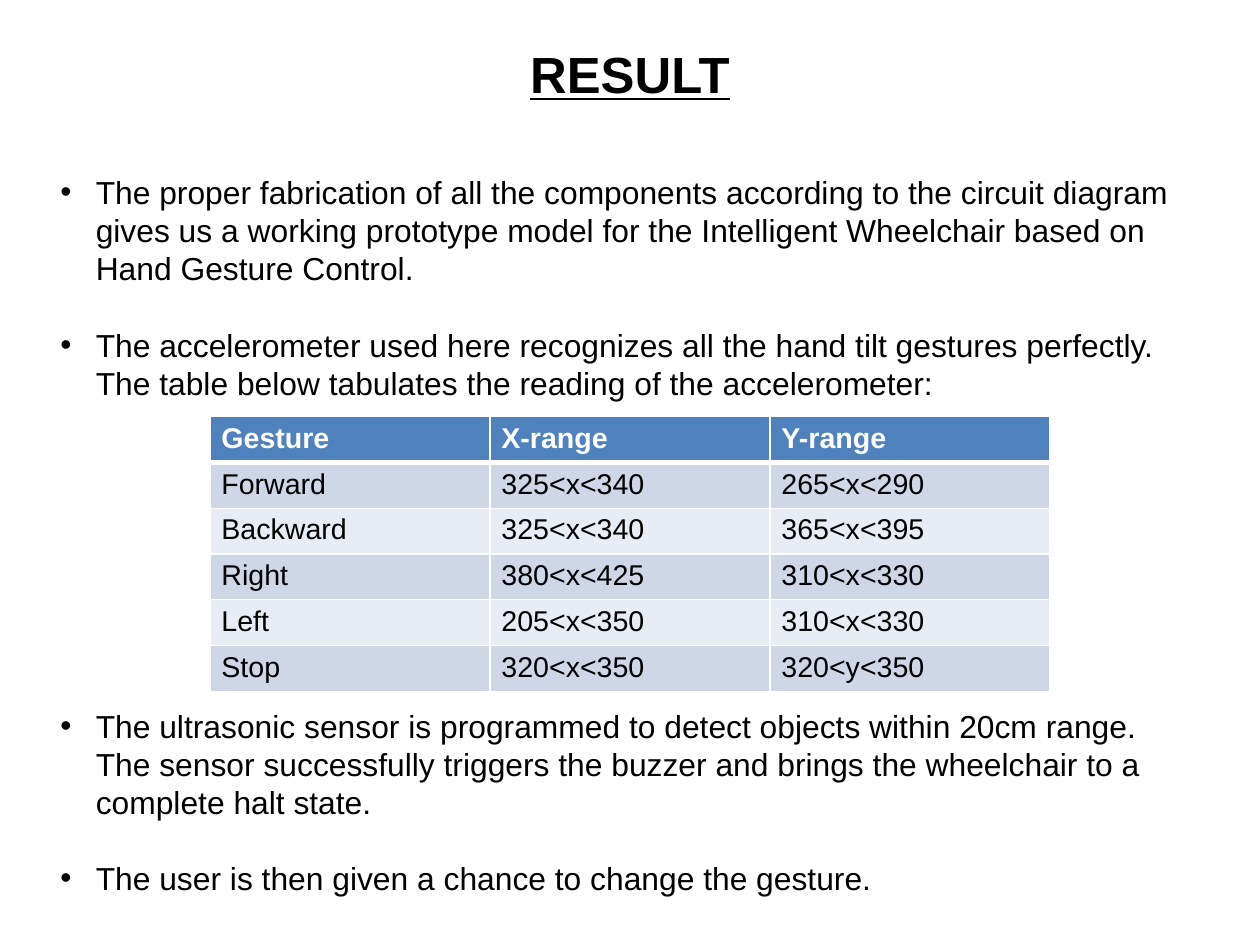
from pptx import Presentation
from pptx.dml.color import RGBColor
from pptx.enum.text import MSO_ANCHOR, PP_ALIGN
from pptx.oxml.ns import qn
from pptx.util import Cm, Inches, Pt
from lxml import etree

MIDDLE, TOP = MSO_ANCHOR.MIDDLE, MSO_ANCHOR.TOP
CENTER, LEFT = PP_ALIGN.CENTER, PP_ALIGN.LEFT

WIDE, HIGH = Cm(28), Cm(21)
FONT, BLACK, WHITE = "Arial", "000000", "FFFFFF"
HEAD, BANDS = "4F81BD", ("CFD7E7", "E8ECF4")
LINE, INDENT = 24, 0.31

TITLE = "RESULT"
POINTS = [
    (0, "The proper fabrication of all the components according to the circuit diagram gives us "
        "a working prototype model for the Intelligent Wheelchair based on Hand Gesture Control."),
    (1, "The accelerometer used here recognizes all the hand tilt gestures perfectly. "
        "The table below tabulates the reading of the accelerometer:"),
    (8, "The ultrasonic sensor is programmed to detect objects within 20cm range. The sensor "
        "successfully triggers the buzzer and brings the wheelchair to a complete halt state."),
    (1, "The user is then given a chance to change the gesture."),
]
ROWS = [
    ("Gesture", "X-range", "Y-range"),
    ("Forward", "325<x<340", "265<x<290"),
    ("Backward", "325<x<340", "365<x<395"),
    ("Right", "380<x<425", "310<x<330"),
    ("Left", "205<x<350", "310<x<330"),
    ("Stop", "320<x<350", "320<y<350"),
]


def paint(color):
    """Turn a hex string into a colour."""
    return RGBColor.from_string(color)


def area(left, top, width, height):
    """Turn shares of the slide into lengths."""
    return [round(share * side) for share, side in
            ((left, WIDE), (top, HIGH), (width, WIDE), (height, HIGH))]


def write(para, text, size=20, color=BLACK, bold=False, under=False, align=LEFT):
    """Add formatted text to a paragraph."""
    para.alignment = align
    run = para.add_run()
    run.text = text
    font = run.font
    font.name, font.size, font.bold, font.underline = FONT, Pt(size), bold, under
    font.color.rgb = paint(color)


def bullet(para, gap):
    """Give a paragraph a hanging bullet and a gap of whole lines above."""
    para.line_spacing, para.space_before = Pt(LINE), Pt(LINE * gap)
    props = para._p.get_or_add_pPr()
    props.set("marL", str(Inches(INDENT)))
    props.set("indent", str(-Inches(INDENT)))
    tint = etree.SubElement(props, qn("a:buClr"))
    etree.SubElement(tint, qn("a:srgbClr"), val=BLACK)
    etree.SubElement(props, qn("a:buFont"), typeface=FONT)
    etree.SubElement(props, qn("a:buChar"), char="•")


def edge(cell, **widths):
    """Draw white borders of the given widths on a cell."""
    props = cell._tc.get_or_add_tcPr()
    for side, width in widths.items():
        line = etree.SubElement(props, qn("a:ln" + side), w=str(Pt(width)))
        fill = etree.SubElement(line, qn("a:solidFill"))
        etree.SubElement(fill, qn("a:srgbClr"), val=WHITE)


def add_title(slide):
    """Place and format the title."""
    title = slide.shapes.title
    title.left, title.top, title.width, title.height = area(0.415, 0.015, 0.17, 0.125)
    frame = title.text_frame
    frame.margin_left = frame.margin_right = frame.margin_top = frame.margin_bottom = 0
    frame.vertical_anchor = MIDDLE
    write(frame.paragraphs[0], TITLE, size=32, bold=True, under=True, align=CENTER)


def add_points(slide):
    """Add the bulleted text."""
    frame = slide.shapes.add_textbox(*area(0.039, 0.177, 0.922, 0.786)).text_frame
    frame.word_wrap, frame.vertical_anchor = True, TOP
    for index, (gap, text) in enumerate(POINTS):
        para = frame.add_paragraph() if index else frame.paragraphs[0]
        write(para, text)
        bullet(para, gap)


def add_grid(slide):
    """Add the table of readings."""
    place = area(1 / 6, 0.441, 2 / 3, 0.28)
    table = slide.shapes.add_table(len(ROWS), len(ROWS[0]), *place).table
    for row, texts in enumerate(ROWS):
        top = row == 0
        for col, text in enumerate(texts):
            cell = table.cell(row, col)
            edge(cell, L=1, R=1, T=3 if row == 1 else 1, B=3 if top else 1)
            cell.fill.solid()
            cell.fill.fore_color.rgb = paint(HEAD if top else BANDS[(row - 1) % 2])
            write(cell.text_frame.paragraphs[0], text, size=18,
                  color=WHITE if top else BLACK, bold=top)


def main():
    """Build and save the slide."""
    deck = Presentation()
    deck.slide_width, deck.slide_height = WIDE, HIGH
    slide = deck.slides.add_slide(deck.slide_layouts[5])
    add_title(slide)
    add_points(slide)
    add_grid(slide)
    deck.save("out.pptx")


if __name__ == "__main__":
    main()
